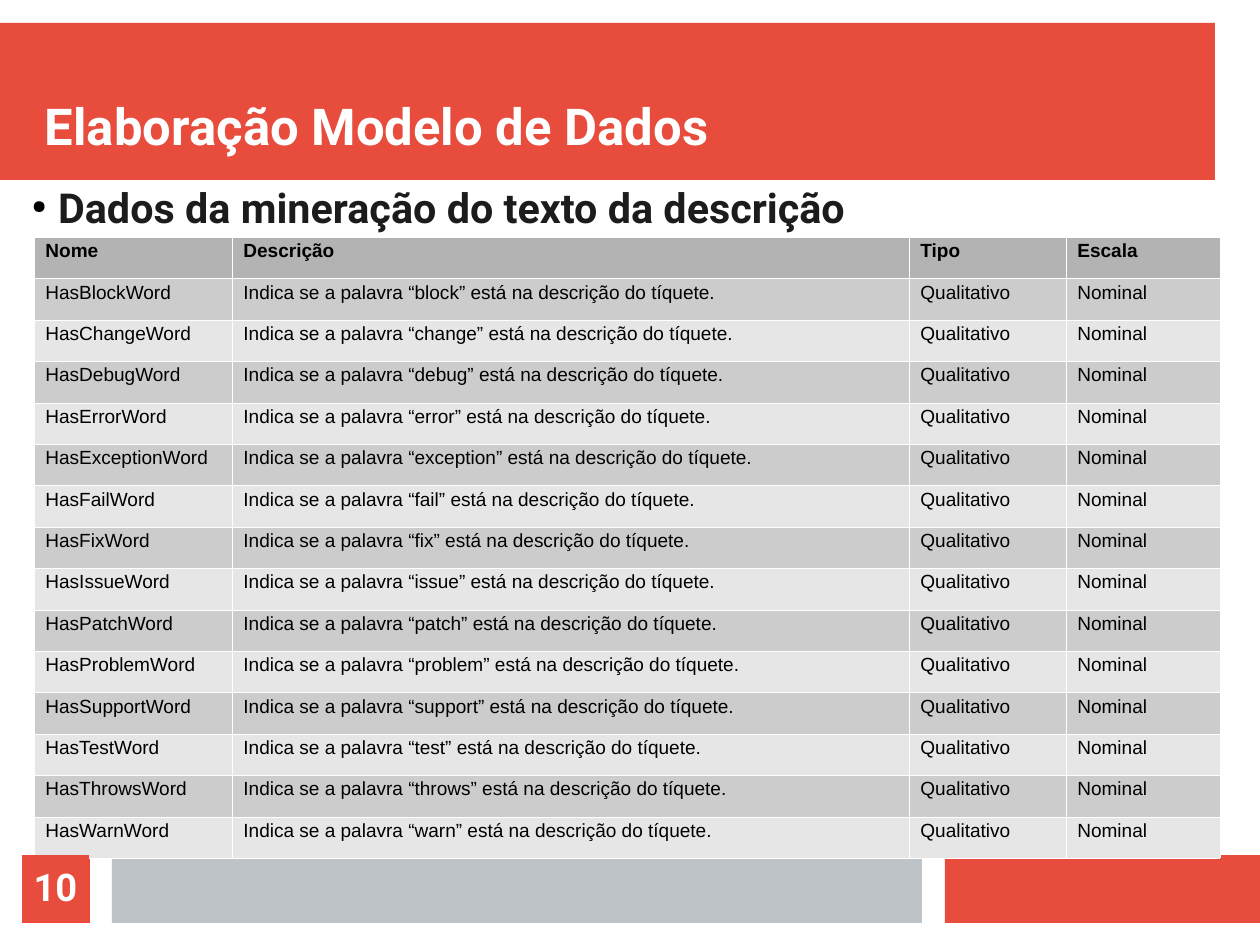
"""Builds the slide that lists the data mined from the ticket descriptions."""
from lxml.etree import SubElement
from pptx import Presentation
from pptx.dml.color import RGBColor
from pptx.enum.shapes import MSO_SHAPE as Shape
from pptx.enum.text import MSO_ANCHOR as Anchor, PP_ALIGN as Align
from pptx.oxml.ns import qn
from pptx.util import Pt

TITLE = "Elaboração Modelo de Dados"
SUBTITLE = "Dados da mineração do texto da descrição"
PAGE_NUMBER = "10"
HEADINGS = ("Nome", "Descrição", "Tipo", "Escala")
WORDS = ("block", "change", "debug", "error", "exception", "fail", "fix",
         "issue", "patch", "problem", "support", "test", "throws", "warn")

RED = RGBColor(0xE7, 0x4C, 0x3C)
BRIGHT_RED = RGBColor(0xF4, 0x43, 0x36)
SILVER = RGBColor(0xBD, 0xC3, 0xC7)
WHITE = RGBColor(0xFF, 0xFF, 0xFF)
BLACK = RGBColor(0, 0, 0)
INK = RGBColor(0x1C, 0x1C, 0x1C)
HEADER_GRAY = RGBColor(0xB3, 0xB3, 0xB3)
BAND_GRAYS = (RGBColor(0xCC, 0xCC, 0xCC), RGBColor(0xE6, 0xE6, 0xE6))

SCALE = 8000
SLIDE_SIZE = (1260, 945)
BANDS = (
    ((0, 23, 1215, 157), RED),
    ((945, 855, 315, 68), RED),
    ((112, 855, 810, 68), SILVER),
    ((22, 855, 68, 68), BRIGHT_RED),
)
TITLE_AREA = (45, 45, 1170, 112)
SUBTITLE_AREA = (32, 184, 1148, 70)
NUMBER_AREA = (22, 855, 67, 67)
TABLE_LEFT, TABLE_TOP, TABLE_HEIGHT = 34, 237, 621
COLUMN_WIDTHS = (198, 677, 157, 154)
BULLET_INDENT = 26
TEXT_INSET_TOP = 3
BORDER_WIDTH = Pt(0.06)

TITLE_FONT = {"name": "Roboto", "size": Pt(32), "bold": True}
SUBTITLE_FONT = {"name": "Roboto", "size": Pt(26), "bold": True}
NUMBER_FONT = {"name": "Roboto", "size": Pt(24), "bold": True}
HEADING_FONT = {"name": "Arial", "size": Pt(12), "bold": True}
CELL_FONT = {**HEADING_FONT, "bold": False}


def px(*lengths):
    return [length * SCALE for length in lengths]


def write(frame, text, font, color, spacing=0.93):
    para = frame.paragraphs[0]
    para.line_spacing = spacing
    span = para.add_run()
    span.text = text
    for name, value in font.items():
        setattr(span.font, name, value)
    span.font.color.rgb = color
    return para


def set_frame(frame, anchor, top=0):
    values = {"word_wrap": True, "vertical_anchor": anchor, "margin_left": 0,
              "margin_right": 0, "margin_top": top * SCALE, "margin_bottom": 0}
    for name, value in values.items():
        setattr(frame, name, value)


def add_block(page, area, color):
    block = page.shapes.add_shape(Shape.RECTANGLE, *px(*area))
    block.shadow.inherit = False
    block.fill.solid()
    block.fill.fore_color.rgb = color
    block.line.fill.background()
    return block


def add_text(page, area, anchor):
    frame = page.shapes.add_textbox(*px(*area)).text_frame
    set_frame(frame, anchor, TEXT_INSET_TOP)
    return frame


def add_bullet(para):
    props = para._p.get_or_add_pPr()
    indent = BULLET_INDENT * SCALE
    props.set("marL", str(indent))
    props.set("indent", str(-indent))
    color = SubElement(props, qn("a:buClr"))
    SubElement(color, qn("a:srgbClr"), val=str(BLACK))
    SubElement(props, qn("a:buSzPct"), val="45000")
    SubElement(props, qn("a:buChar"), char="●")


def add_borders(cell):
    props = cell._tc.get_or_add_tcPr()
    for side in "LRTB":
        line = SubElement(props, qn(f"a:ln{side}"), w=str(BORDER_WIDTH))
        fill = SubElement(line, qn("a:solidFill"))
        SubElement(fill, qn("a:srgbClr"), val=str(WHITE))


def add_word_table(page):
    rows = [HEADINGS] + [
        (f"Has{word.capitalize()}Word",
         f"Indica se a palavra “{word}” está na descrição do tíquete.",
         "Qualitativo", "Nominal")
        for word in WORDS]
    area = px(TABLE_LEFT, TABLE_TOP, sum(COLUMN_WIDTHS), TABLE_HEIGHT)
    table = page.shapes.add_table(len(rows), len(HEADINGS), *area).table
    table.first_row = table.horz_banding = False
    for column, width in zip(table.columns, COLUMN_WIDTHS):
        column.width = width * SCALE
    for index, values in enumerate(rows):
        table.rows[index].height = TABLE_HEIGHT * SCALE // len(rows)
        shade = BAND_GRAYS[(index - 1) % 2] if index else HEADER_GRAY
        font = CELL_FONT if index else HEADING_FONT
        for cell, text in zip(table.rows[index].cells, values):
            add_borders(cell)
            cell.fill.solid()
            cell.fill.fore_color.rgb = shade
            write(cell.text_frame, text, font, BLACK, 0.88)


def main():
    deck = Presentation()
    deck.slide_width, deck.slide_height = px(*SLIDE_SIZE)
    page = deck.slides.add_slide(deck.slide_layouts[6])
    for area, color in BANDS:
        add_block(page, area, color)
    write(add_text(page, TITLE_AREA, Anchor.BOTTOM), TITLE, TITLE_FONT, WHITE)
    add_word_table(page)
    subtitle = add_text(page, SUBTITLE_AREA, Anchor.TOP)
    add_bullet(subtitle.paragraphs[0])
    write(subtitle, SUBTITLE, SUBTITLE_FONT, INK).space_after = Pt(11.5)
    number = add_block(page, NUMBER_AREA, RED).text_frame
    set_frame(number, Anchor.MIDDLE)
    write(number, PAGE_NUMBER, NUMBER_FONT, WHITE).alignment = Align.CENTER
    deck.save("out.pptx")


if __name__ == "__main__":
    main()
